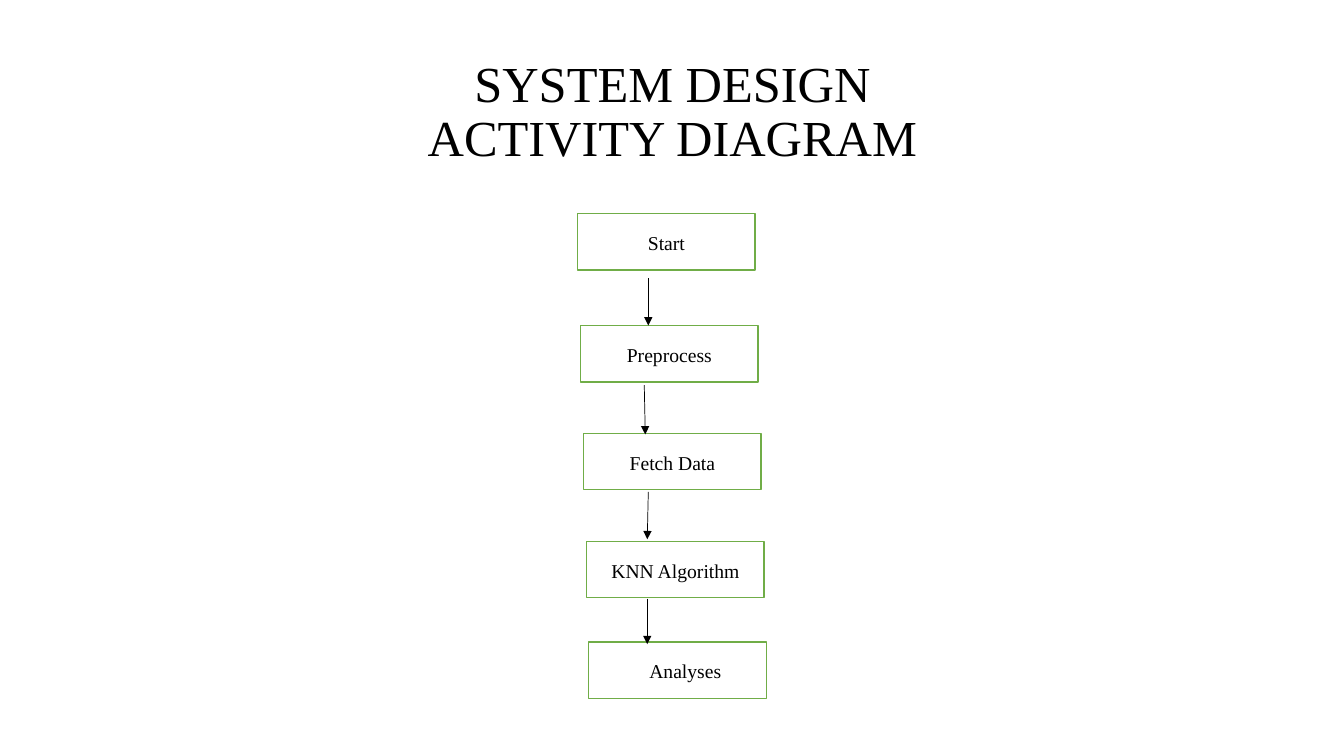
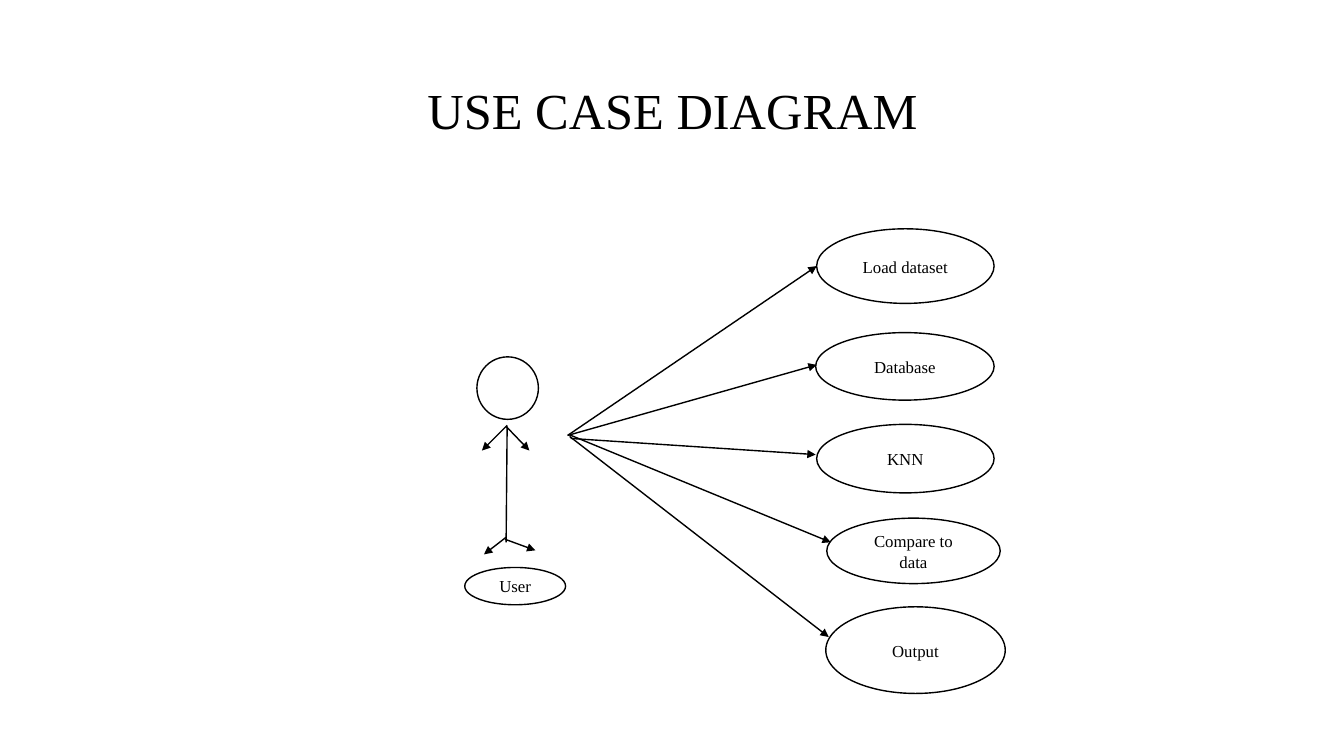
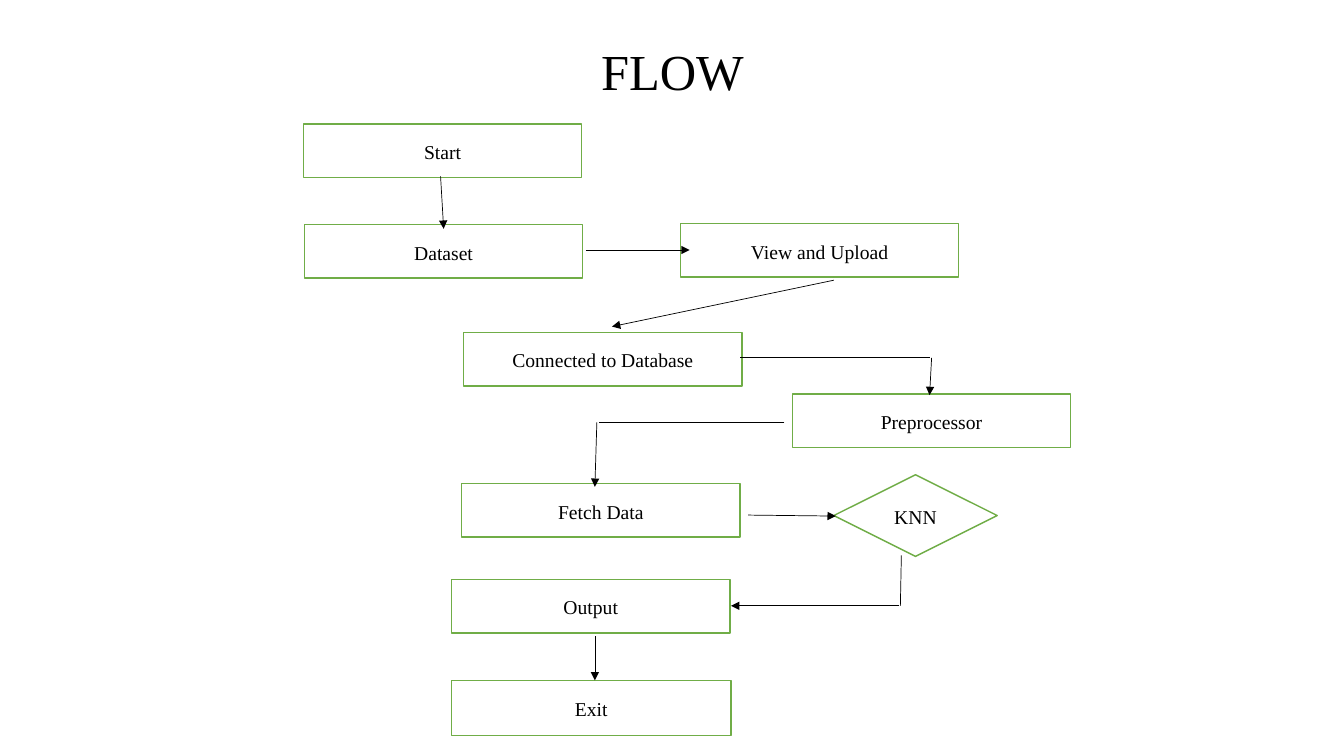
import dataclasses
import typing

import pptx
import pptx.dml.color
import pptx.enum.shapes
import pptx.enum.text
import pptx.oxml
import pptx.oxml.ns
import pptx.util
from pptx.util import Inches

COLORS = {"paper": "FFFFFF", "ink": "000000", "green": "70AD47"}
FONT = "Times New Roman"
MSO = pptx.enum.shapes.MSO_SHAPE
ALIGN = pptx.enum.text.PP_ALIGN


@dataclasses.dataclass(frozen=True)
class Node:
    text: str
    left: float
    top: float
    width: float
    height: float
    shape: MSO = MSO.RECTANGLE
    indent: float = 0.0


@dataclasses.dataclass(frozen=True)
class NodeStyle:
    line: str
    size: int
    spacing: float
    after: int
    inset_x: float = 0.1
    inset_y: float = 0.05


class Link(typing.NamedTuple):
    x1: float
    y1: float
    x2: float
    y2: float
    arrow: bool = True


BOX = NodeStyle("green", 14, 1.07, 8)
USE_CASE = NodeStyle("ink", 12, 1.05, 6, 0.07, 0.04)
ACTOR = NodeStyle("ink", 12, 1.0, 0)

ACTIVITY_NODES = [
    Node(text, left, top, 1.76, 0.56, indent=indent)
    for text, left, top, indent in [
        ("Start", 5.73, 2.12, 0),
        ("Preprocess", 5.76, 3.23, 0),
        ("Fetch Data", 5.79, 4.3, 0),
        ("KNN Algorithm", 5.82, 5.37, 0),
        ("Analyses", 5.84, 6.37, 0.5),
    ]
]
ACTIVITY_LINKS = [
    Link(6.43, 2.76, 6.43, 3.23),
    Link(6.39, 3.82, 6.4, 4.31),
    Link(6.43, 4.88, 6.42, 5.35),
    Link(6.42, 5.94, 6.42, 6.39),
]

ACTOR_NODES = [
    Node("", 4.73, 3.54, 0.61, 0.62, MSO.FLOWCHART_CONNECTOR),
    Node("User", 4.61, 5.63, 1, 0.37, MSO.OVAL),
]
USE_CASE_NODES = [
    Node("Load dataset", 8.1, 2.27, 1.76, 0.74, MSO.OVAL),
    Node("Database", 8.09, 3.3, 1.77, 0.67, MSO.OVAL),
    Node("KNN", 8.1, 4.21, 1.76, 0.68, MSO.OVAL),
    Node("Compare to data", 8.2, 5.14, 1.72, 0.65, MSO.OVAL),
    Node("Output", 8.19, 6.02, 1.78, 0.86, MSO.OVAL),
]
ACTOR_LINKS = [
    Link(5.03, 4.23, 5.02, 5.38, arrow=False),
    Link(5.02, 4.23, 5.25, 4.47),
    Link(5.03, 4.22, 4.78, 4.47),
    Link(5.02, 5.33, 4.8, 5.5),
    Link(5.01, 5.35, 5.31, 5.46),
]
USE_CASE_LINKS = [
    Link(5.63, 4.32, 8.1, 2.64),
    Link(5.63, 4.32, 8.1, 3.62),
    Link(5.66, 4.35, 8.09, 4.51),
    Link(5.64, 4.31, 8.24, 5.38),
    Link(5.65, 4.33, 8.22, 6.32),
]

FLOW_NODES = [
    Node(text, left, top, 2.76, 0.53)
    for text, left, top in [
        ("Start", 3.01, 1.23),
        ("Dataset", 3.02, 2.23),
        ("View and Upload", 6.75, 2.22),
        ("Connected to Database", 4.6, 3.3),
        ("Preprocessor", 7.86, 3.91),
        ("Fetch Data", 4.58, 4.8),
        ("Output", 4.48, 5.75),
    ]
] + [
    Node("KNN", 8.27, 4.71, 1.62, 0.81, MSO.FLOWCHART_DECISION),
    Node("Exit", 4.48, 6.75, 2.77, 0.55),
]
FLOW_LINKS = [
    Link(4.37, 1.75, 4.4, 2.27),
    Link(5.81, 2.48, 6.84, 2.48),
    Link(8.27, 2.78, 6.07, 3.24),
    Link(7.34, 3.55, 9.22, 3.55, arrow=False),
    Link(9.24, 3.55, 9.22, 3.92),
    Link(7.78, 4.19, 5.94, 4.19, arrow=False),
    Link(5.92, 4.19, 5.9, 4.83),
    Link(7.42, 5.11, 8.29, 5.12),
    Link(8.94, 5.51, 8.93, 6.01, arrow=False),
    Link(8.92, 6.01, 7.25, 6.01),
    Link(5.9, 6.31, 5.9, 6.75),
]


def rgb(name: str) -> pptx.dml.color.RGBColor:
    return pptx.dml.color.RGBColor.from_string(COLORS[name])


def write_text(tf, text: str, size: int, spacing: float, after: int = 0, align=ALIGN.CENTER) -> None:
    tf.word_wrap = True
    tf.vertical_anchor = pptx.enum.text.MSO_ANCHOR.MIDDLE
    p = tf.paragraphs[0]
    p.text = text
    p.alignment = align
    p.line_spacing = spacing
    p.space_after = pptx.util.Pt(after)
    for r in p.runs:
        r.font.name = FONT
        r.font.size = pptx.util.Pt(size)
        r.font.color.rgb = rgb("ink")


def add_titled_slide(prs, title: str, height: float = 1.45):
    s = prs.slides.add_slide(prs.slide_layouts[6])
    tb = s.shapes.add_textbox(Inches(0.92), Inches(0.4), Inches(11.5), Inches(height))
    write_text(tb.text_frame, title, 36, 0.9)
    return s


def add_nodes(s, nodes: list[Node], style: NodeStyle) -> None:
    for node in nodes:
        sp = s.shapes.add_shape(node.shape, Inches(node.left), Inches(node.top),
                                Inches(node.width), Inches(node.height))
        sp.shadow.inherit = False
        sp.fill.solid()
        sp.fill.fore_color.rgb = rgb("paper")
        sp.line.color.rgb = rgb(style.line)
        sp.line.width = pptx.util.Pt(1)
        if not node.text:
            continue
        tf = sp.text_frame
        tf.margin_left = Inches(style.inset_x + node.indent)
        tf.margin_right = Inches(style.inset_x)
        tf.margin_top = tf.margin_bottom = Inches(style.inset_y)
        align = ALIGN.LEFT if node.indent else ALIGN.CENTER
        write_text(tf, node.text, style.size, style.spacing, style.after, align)


def add_links(s, links: list[Link], width: float) -> None:
    for link in links:
        cx = s.shapes.add_connector(pptx.enum.shapes.MSO_CONNECTOR.STRAIGHT,
                                    Inches(link.x1), Inches(link.y1),
                                    Inches(link.x2), Inches(link.y2))
        cx.line.color.rgb = rgb("ink")
        cx.line.width = pptx.util.Pt(width)
        if link.arrow:
            ln = cx.line._get_or_add_ln()
            ln.append(pptx.oxml.parse_xml(
                f'<a:tailEnd {pptx.oxml.ns.nsdecls("a")} type="triangle"/>'))
        cx._element.spPr.append(pptx.oxml.parse_xml(
            f'<a:effectLst {pptx.oxml.ns.nsdecls("a")}/>'))


def main() -> None:
    prs = pptx.Presentation()
    prs.slide_width, prs.slide_height = Inches(13.33), Inches(7.5)

    s = add_titled_slide(prs, "SYSTEM DESIGN\nACTIVITY DIAGRAM")
    add_nodes(s, ACTIVITY_NODES, BOX)
    add_links(s, ACTIVITY_LINKS, 0.5)

    s = add_titled_slide(prs, "USE CASE DIAGRAM")
    add_nodes(s, ACTOR_NODES, ACTOR)
    add_nodes(s, USE_CASE_NODES, USE_CASE)
    add_links(s, ACTOR_LINKS + USE_CASE_LINKS, 1)

    s = add_titled_slide(prs, "FLOW", 0.68)
    add_nodes(s, FLOW_NODES, BOX)
    add_links(s, FLOW_LINKS, 0.5)

    prs.save("out.pptx")


if __name__ == "__main__":
    main()
